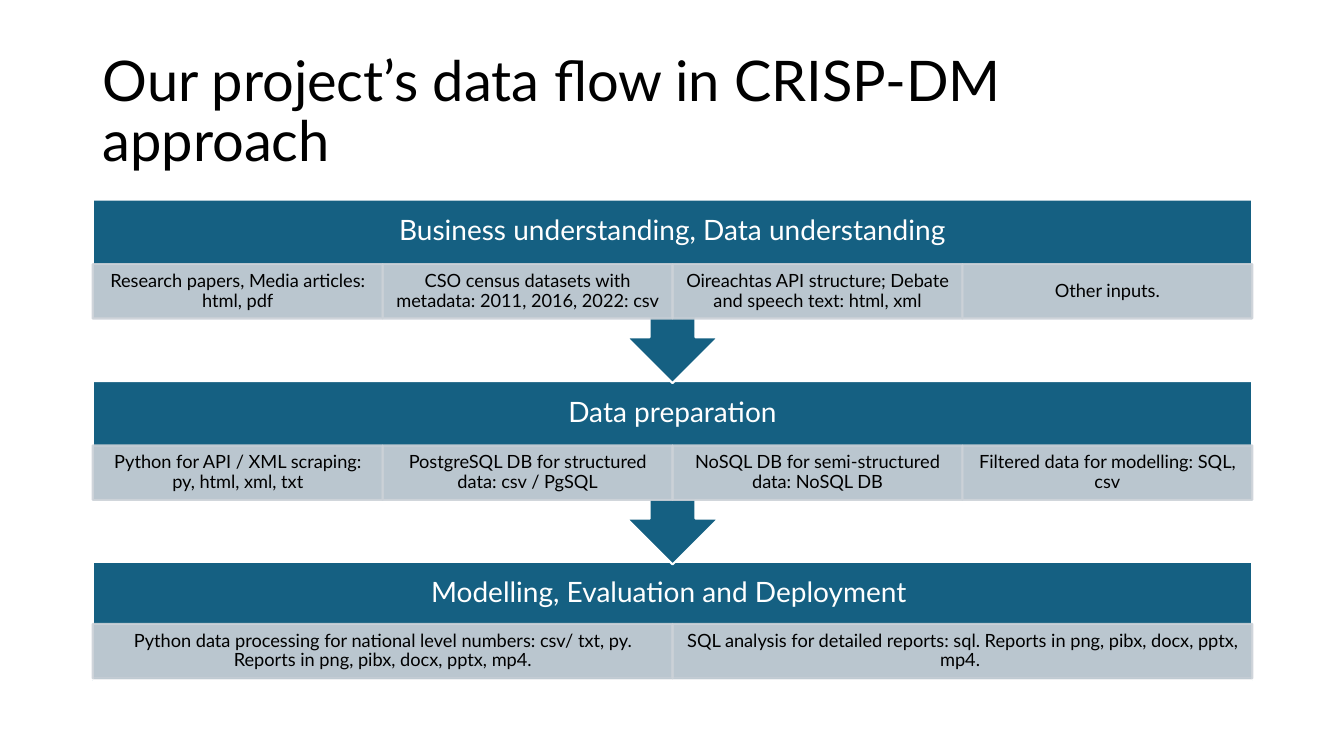
from pptx import Presentation
from pptx.dml.color import RGBColor
from pptx.enum.shapes import MSO_SHAPE as Shape
from pptx.enum.text import MSO_ANCHOR as Anchor, PP_ALIGN as Align
from pptx.oxml.ns import qn
from pptx.util import Inches, Pt
from lxml.etree import SubElement

# Content
TITLE = "Our project’s data flow in CRISP-DM approach"
STAGES = [
    {"top": 1.98, "heading": "Business understanding, Data understanding",
     "inputs": ["Research papers, Media articles: html, pdf",
                "CSO census datasets with metadata: 2011, 2016, 2022: csv",
                "Oireachtas API structure; Debate and speech text: html, xml",
                "Other inputs."]},
    {"top": 3.78, "heading": "Data preparation",
     "inputs": ["Python for API / XML scraping: py, html, xml, txt",
                "PostgreSQL DB for structured data: csv / PgSQL",
                "NoSQL DB for semi-structured data: NoSQL DB",
                "Filtered data for modelling: SQL, csv"]},
    {"top": 5.57, "heading": "Modelling, Evaluation and Deployment ",
     "inputs": ["Python data processing for national level numbers: csv/ txt, py. "
                "Reports in png, pibx, docx, pptx, mp4.",
                "SQL analysis for detailed reports: sql. "
                "Reports in png, pibx, docx, pptx, mp4. "]},
]

# Theme and layout, lengths in inches
THEME = {"font": "Lato", "title": 40, "heading": 20, "input": 13, "line": 1.5,
         "stage": "156082", "cell": "CCD2D8", "opacity": 90,
         "light": "FFFFFF", "dark": "000000"}
LEFT, WIDTH = 0.92, 11.5
TITLE_BOX = (LEFT, 0.4, 11.4, 1.45)
HEADING_HEIGHT, CELL_HEIGHT = 0.64, 0.54
CALLOUT_HEIGHT, BOX_HEIGHT = 1.82, 1.18
LAST_CELL_OFFSET = 0.62


def color(name):
    return RGBColor.from_string(THEME[name])


def write(shape, text, size, ink, align, insets):
    frame = shape.text_frame
    frame.word_wrap = True
    frame.vertical_anchor = Anchor.MIDDLE
    frame.margin_left = frame.margin_right = Inches(insets[0])
    frame.margin_top = frame.margin_bottom = Inches(insets[1])
    paragraph = frame.paragraphs[0]
    paragraph.alignment = align
    paragraph.line_spacing = 0.9
    run = paragraph.add_run()
    run.text = text
    run.font.name = THEME["font"]
    run.font.size = Pt(THEME[size])
    run.font.color.rgb = color(ink)


def add_text(slide, box, *style):
    write(slide.shapes.add_textbox(*map(Inches, box)), *style)


def add_block(slide, kind, box, fill, line):
    shape = slide.shapes.add_shape(kind, *map(Inches, box))
    shape.shadow.inherit = False
    shape.fill.solid()
    shape.fill.fore_color.rgb = color(fill)
    shape.line.color.rgb = color(line)
    shape.line.width = Pt(THEME["line"])
    return shape


def add_cell(slide, box, text):
    cell = add_block(slide, Shape.RECTANGLE, box, "cell", "cell")
    for tint in cell.element.spPr.iter(qn("a:srgbClr")):
        SubElement(tint, qn("a:alpha"), val=str(THEME["opacity"] * 1000))
    write(cell, text, "input", "dark", Align.CENTER, (0.1, 0.02))


def add_stage(slide, stage, is_last):
    top, inputs = stage["top"], stage["inputs"]
    if is_last:
        add_block(slide, Shape.RECTANGLE, (LEFT, top, WIDTH, BOX_HEIGHT), "stage", "light")
    else:
        callout = add_block(slide, Shape.UP_ARROW_CALLOUT,
                            (LEFT, top, WIDTH, CALLOUT_HEIGHT), "stage", "light")
        callout.rotation = 180
    add_text(slide, (LEFT, top, WIDTH, HEADING_HEIGHT), stage["heading"],
             "heading", "light", Align.CENTER, (0.16, 0.16))

    # Equal cells under the heading
    cell_top = top + (LAST_CELL_OFFSET if is_last else HEADING_HEIGHT)
    cell_width = WIDTH / len(inputs)
    for column, text in enumerate(inputs):
        add_cell(slide, (LEFT + column * cell_width, cell_top, cell_width, CELL_HEIGHT), text)


def main():
    presentation = Presentation()
    presentation.slide_width, presentation.slide_height = Inches(13.33), Inches(7.5)
    slide = presentation.slides.add_slide(presentation.slide_layouts[6])
    add_text(slide, TITLE_BOX, TITLE, "title", "dark", Align.LEFT, (0.1, 0.05))

    # Last stage first, so each arrow tip lies over the stage below it
    for stage in reversed(STAGES):
        add_stage(slide, stage, stage is STAGES[-1])
    presentation.save("out.pptx")


if __name__ == "__main__":
    main()
